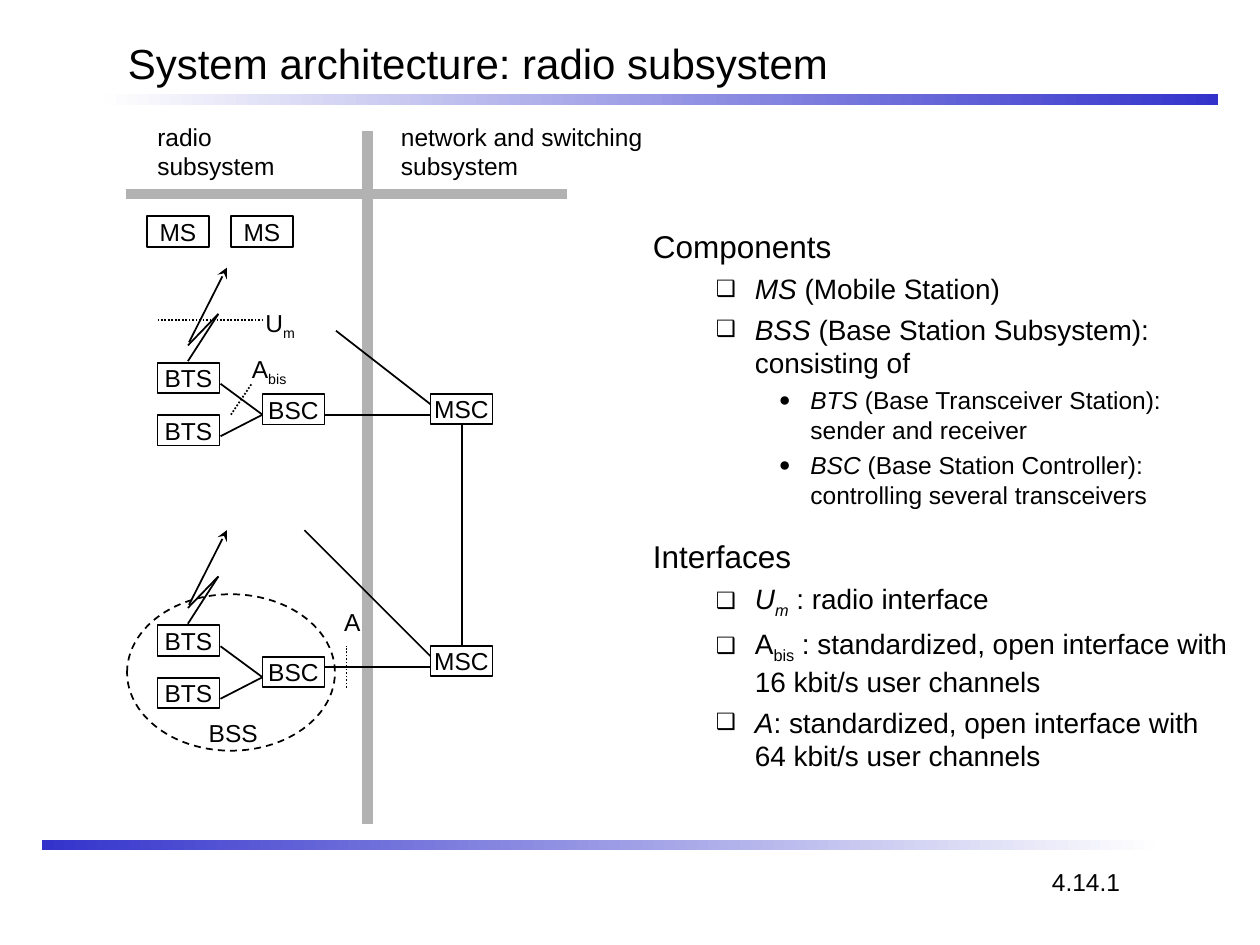
from lxml.etree import SubElement
from pptx import Presentation
from pptx.dml.color import RGBColor
from pptx.enum.dml import MSO_LINE
from pptx.enum.shapes import MSO_CONNECTOR, MSO_SHAPE
from pptx.enum.text import MSO_ANCHOR, PP_ALIGN
from pptx.oxml.ns import qn
from pptx.util import Inches, Pt

COLORS = {"ink": "000000", "axis": "B2B2B2", "blue": "3333CC", "white": "FEFEFE"}
FONT = "Arial"
COLS_PER_INCH = 12
NODE_W, NODE_H = 5.9, 2.9
ITALIC, SUB, ITALIC_SUB = {"italic": True}, {"sub": True}, {"italic": True, "sub": True}
LEVELS = [
    {"size": 18, "left": 0.38, "hang": 0.38, "before": 15.7, "bullet": None},
    {"size": 16, "left": 0.81, "hang": 0.31, "before": 4, "bullet": "❑"},
    {"size": 14, "left": 1.25, "hang": 0.25, "before": 3.5, "bullet": "●"},
]
OUTLINE = [
    (0, [("Components", {})]),
    (1, [("MS", ITALIC), (" (Mobile Station)", {})]),
    (1, [("BSS", ITALIC), (" (Base Station Subsystem):\nconsisting of", {})]),
    (2, [("BTS", ITALIC), (" (Base Transceiver Station):\nsender and receiver", {})]),
    (2, [("BSC", ITALIC), (" (Base Station Controller):\ncontrolling several transceivers", {})]),
    (0, [("Interfaces", {})]),
    (1, [("U", ITALIC), ("m", ITALIC_SUB), (" : radio interface", {})]),
    (1, [("A", {}), ("bis", SUB), (" : standardized, open interface with\n16 kbit/s user channels", {})]),
    (1, [("A", ITALIC), (": standardized, open interface with\n64 kbit/s user channels", {})]),
]


def grid(*cells):
    """Turn grid cells into slide lengths."""
    return [Inches(c / COLS_PER_INCH) for c in cells]


def rgb(name):
    """Look up a named colour."""
    return RGBColor.from_string(COLORS[name])


def add_runs(p, runs, size=14):
    """Fill a paragraph with formatted runs, breaking at newlines."""
    for text, fmt in runs:
        for i, line in enumerate(text.split("\n")):
            if i:
                p.add_line_break()
            r = p.add_run()
            r.text = line
            values = {"name": FONT, "size": Pt(size), "italic": fmt.get("italic", False)}
            for key, value in values.items():
                setattr(r.font, key, value)
            r.font.color.rgb = rgb("ink")
            if fmt.get("sub"):
                r._r.get_or_add_rPr().set("baseline", "-25000")


def add_label(s, box, runs, size=14, wrap=True, anchor=MSO_ANCHOR.TOP):
    """Place a text box on the grid."""
    tf = s.shapes.add_textbox(*grid(*box)).text_frame
    for key, value in {"word_wrap": wrap, "vertical_anchor": anchor}.items():
        setattr(tf, key, value)
    add_runs(tf.paragraphs[0], runs, size)
    return tf


def add_outline(s, kind, box, dash=None):
    """Place an unfilled outlined shape on the grid."""
    sp = s.shapes.add_shape(kind, *grid(*box))
    sp.shadow.inherit = False
    sp.fill.background()
    for key, value in {"width": Pt(1), "dash_style": dash}.items():
        setattr(sp.line, key, value)
    sp.line.color.rgb = rgb("ink")
    return sp


def add_node(s, x, y, text):
    """Place a named network element."""
    tf = add_outline(s, MSO_SHAPE.RECTANGLE, (x, y, NODE_W, NODE_H)).text_frame
    for key, value in {"word_wrap": False, "vertical_anchor": MSO_ANCHOR.MIDDLE}.items():
        setattr(tf, key, value)
    p = tf.paragraphs[0]
    p.alignment = PP_ALIGN.CENTER
    add_runs(p, [(text, {})])


def add_line(s, x, y, ends, color="ink", width=1, dash=None, arrow=False):
    """Draw a straight line between two points relative to (x, y)."""
    x1, y1, x2, y2 = ends
    ln = s.shapes.add_connector(MSO_CONNECTOR.STRAIGHT, *grid(x + x1, y + y1, x + x2, y + y2))
    ln.line.color.rgb = rgb(color)
    for key, value in {"width": Pt(width), "dash_style": dash}.items():
        setattr(ln.line, key, value)
    if arrow:
        SubElement(ln.line._get_or_add_ln(), qn("a:tailEnd"), type="stealth")
    SubElement(ln._element.spPr, qn("a:effectLst"))


def add_bar(s, box, right, left):
    """Place a horizontal bar that fades between two colours."""
    sp = s.shapes.add_shape(MSO_SHAPE.RECTANGLE, *grid(*box))
    sp.shadow.inherit = False
    sp.line.fill.background()
    sp.fill.gradient()
    sp.fill.gradient_angle = 180
    for stop, color in zip(sp.fill.gradient_stops, (right, left)):
        stop.color.rgb = rgb(color)


def add_frame(s, cols, rows):
    """Place the title, bars and slide number."""
    add_bar(s, (10, 9, cols - 14, 1), "blue", "white")
    add_bar(s, (4, rows - 10, cols - 14, 1), "white", "blue")
    add_label(s, (11, 3, cols - 18, 6), [("System architecture: radio subsystem", {})], 24, anchor=MSO_ANCHOR.BOTTOM)
    add_label(s, (cols - 21, rows - 8, 9, 4), [("4.14.1", {})], wrap=False)


def add_axes(s, x, y, w, h):
    """Draw the dividing cross with its headings and mobile stations."""
    add_line(s, x, y, (23, 0, 23, h), "axis", 6)
    add_line(s, x, y, (0, 6, w, 6), "axis", 6)
    add_label(s, (x + 1.8, y - 1.5, 15.2, 6.8), [("radio\nsubsystem", {})])
    add_label(s, (x + 25, y - 1.5, 28, 6.8), [("network and switching\nsubsystem", {})])
    for dx in (2, 10):
        add_node(s, x + dx, y + 8.1, "MS")


def add_cell(s, x, y, msc_y, branch):
    """Draw one base station group linked to its switching centre."""
    for ends in ((5.9, 9.4, 8.8, 4.9), (8.8, 4.9, 5.9, 7.9)):
        add_line(s, x, y, ends)
    add_line(s, x, y, (6, 7.6, 9.6, 0.5), arrow=True)
    for bts_y in (9.55, 14.55):
        add_node(s, x + 3, y + bts_y, "BTS")
        add_line(s, x, y, (9, bts_y + 2, 13, 14.5))
    add_node(s, x + 13, y + 12.55, "BSC")
    add_node(s, x + 29, y + msc_y, "MSC")
    add_line(s, x, y, (19, msc_y + 2, 29, msc_y + 2))
    add_line(s, x, y, (29, msc_y + 1, *branch))


def add_interfaces(s, x, y, pitch):
    """Mark the interfaces, the subsystem outline and the trunk line."""
    dots = MSO_LINE.ROUND_DOT
    low = y + pitch
    add_line(s, x, y, (3, 5.5, 13, 5.5), dash=dots)
    add_line(s, x, y, (10, 14.5, 12, 11.5), dash=dots)
    add_line(s, x, low, (21, 15.5, 21, 11.5), dash=dots)
    add_line(s, x, y, (32, 15.5, 32, pitch + 11.5))
    add_outline(s, MSO_SHAPE.OVAL, (x + 0.1, low + 6.6, 19.8, 14.9), MSO_LINE.DASH)
    add_label(s, (x + 12.1, y + 3.7, 7.8, 4.4), [("U", {}), ("m", SUB)])
    add_label(s, (x + 10.8, y + 8.1, 7.8, 4.4), [("A", {}), ("bis", SUB)])
    add_label(s, (x + 19.6, low + 7.2, 4.3, 4), [("A", {})])
    add_label(s, (x + 6.7, low + 17.8, 8.3, 4), [("BSS", {})])


def add_outline_text(s, box):
    """Write the components and interfaces as an indented bullet list."""
    tf = add_label(s, box, [])
    for i, (level, runs) in enumerate(OUTLINE):
        fmt = LEVELS[level]
        p = tf.add_paragraph() if i else tf.paragraphs[0]
        pPr = p._p.get_or_add_pPr()
        for key, value in {"marL": fmt["left"], "indent": -fmt["hang"]}.items():
            pPr.set(key, str(Inches(value)))
        if fmt["bullet"]:
            SubElement(SubElement(pPr, qn("a:buClr")), qn("a:srgbClr"), val=COLORS["ink"])
            SubElement(pPr, qn("a:buSzPct"), val="80000")
            SubElement(pPr, qn("a:buFont"), typeface=FONT)
            SubElement(pPr, qn("a:buChar"), char=fmt["bullet"])
        p.level = level
        p.space_before = Pt(fmt["before"] if i else 0)
        add_runs(p, runs, fmt["size"])


def main():
    """Build the slide and save it."""
    prs = Presentation()
    prs.slide_width, prs.slide_height = grid(120, 90)
    s = prs.slides.add_slide(prs.slide_layouts[6])
    add_frame(s, 120, 90)
    add_axes(s, 12, 12.5, 42, 66)
    add_cell(s, 12, 25, 12.5, (20, 6.5))
    add_cell(s, 12, 50, 11.5, (17, 0.5))
    add_interfaces(s, 12, 25, 25)
    add_outline_text(s, (61, 21, 59, 57))
    prs.save("out.pptx")


if __name__ == "__main__":
    main()
